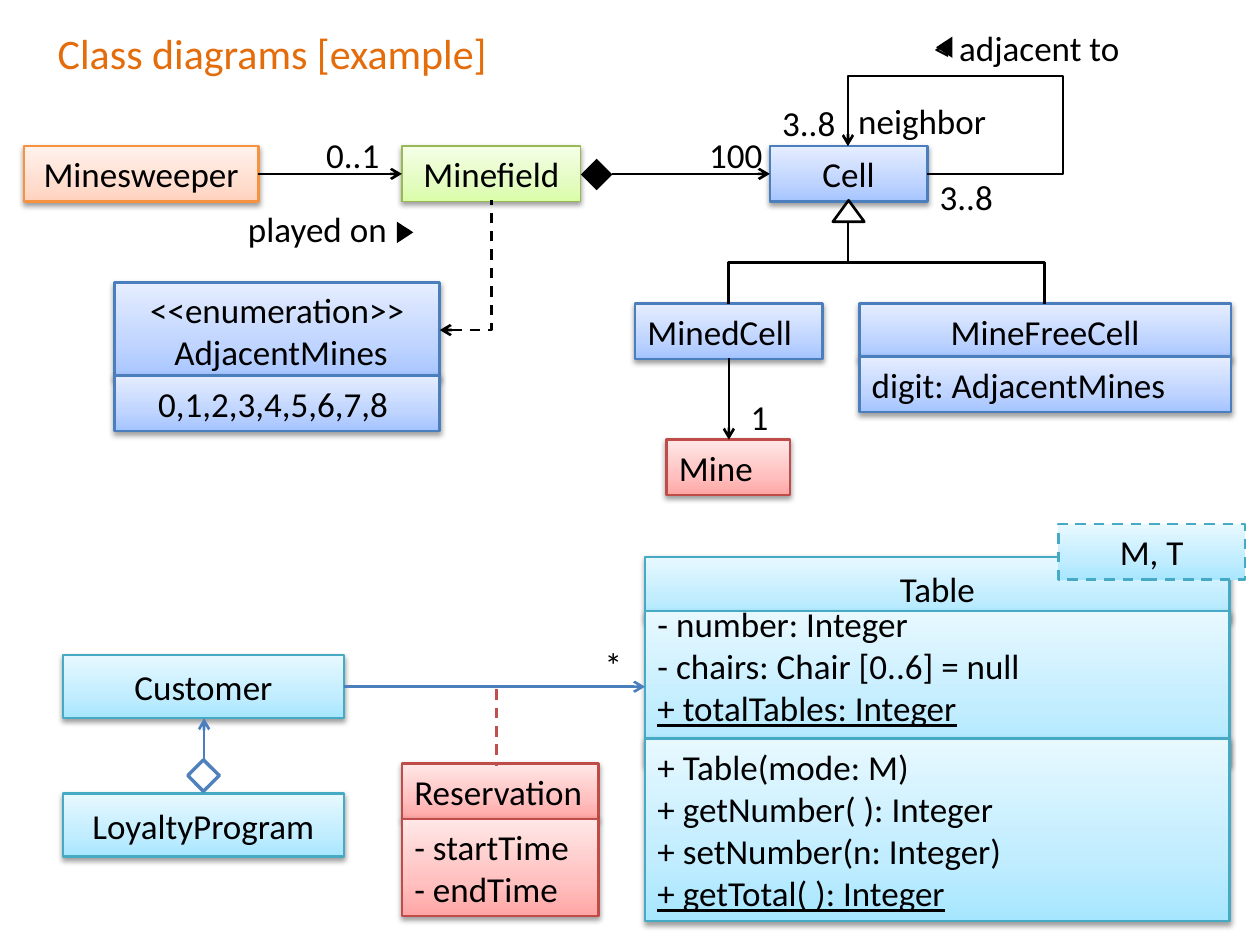
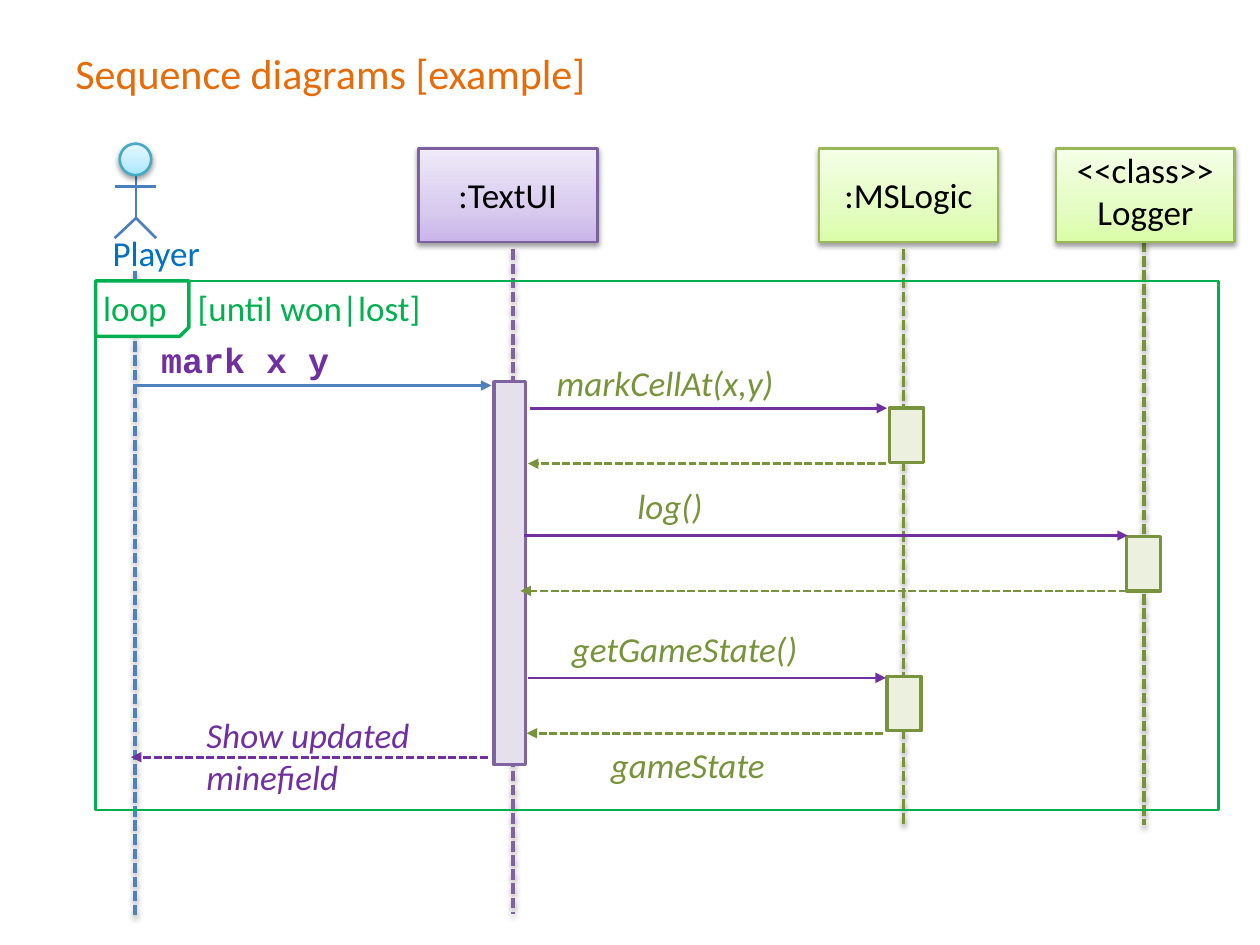
from copy import deepcopy

from lxml import etree
from pptx import Presentation
from pptx.dml.color import RGBColor
from pptx.enum.dml import MSO_LINE
from pptx.enum.shapes import MSO_CONNECTOR, MSO_SHAPE
from pptx.enum.text import MSO_ANCHOR, PP_ALIGN
from pptx.oxml.ns import qn
from pptx.util import Inches, Pt

RECT, OVAL = MSO_SHAPE.RECTANGLE, MSO_SHAPE.OVAL
TRI, GEM = MSO_SHAPE.ISOSCELES_TRIANGLE, MSO_SHAPE.FLOWCHART_DECISION
SNIP = MSO_SHAPE.SNIP_1_RECTANGLE
STRAIGHT, ELBOW = MSO_CONNECTOR.STRAIGHT, MSO_CONNECTOR.ELBOW
DASH, DOTS = MSO_LINE.DASH, MSO_LINE.SQUARE_DOT
LEFT, MID = PP_ALIGN.LEFT, PP_ALIGN.CENTER
TOP, CORE = MSO_ANCHOR.TOP, MSO_ANCHOR.MIDDLE

INK = {
    "title": "E46C0A", "black": "000000", "white": "FFFFFF", "blue": "4B7EBC",
    "sky": "4F81BD", "red": "C0504D", "plum": "8064A2", "purple": "7030A0",
    "olive": "77933C", "frame": "00B050", "actor": "0070C0",
    "lilac": "E6E0EC", "pale": "EBF1DE",
}
# Gradient stops from bottom to top, then the outline
TONES = {
    "orange": ("FFD2BD", "FFDED0", "FFF2ED", "F69240"),
    "green": ("DAFDA7", "E4FCC2", "F5FFE7", "98B955"),
    "blue": ("A4C4FF", "BFD4FF", "E6EEFF", "4B7EBC"),
    "red": ("FFA6A5", "FFC0BF", "FFE7E7", "BF4C48"),
    "aqua": ("A7E6FF", "C1EDFF", "E7F8FF", "46AAC5"),
    "violet": ("C9B5E8", "D8CBEE", "F0EAF9", "7D60A0"),
}
SHADE = ('<a:outerShdw xmlns:a="http://schemas.openxmlformats.org/drawingml/2006/main" '
         'blurRad="40000" dist="20000" dir="5400000" rotWithShape="0">'
         '<a:srgbClr val="000000"><a:alpha val="38000"/></a:srgbClr></a:outerShdw>')

deck = Presentation()
deck.slide_width, deck.slide_height = Inches(10), Inches(7.5)
COL, ROW = deck.slide_width / 100, deck.slide_height / 75  # 100 by 75 grid


def put(place, kind, at, text="", tone=None, fill=None, edge=None, width=1.5, dash=None,
        shade=True, ink="black", align=LEFT, anchor=CORE, inset=(1, 0.5, 1, 0.5), **font):
    """Add a shape, or a text box when kind is None, at grid cells."""
    x, y, w, h = (round(n * u) for n, u in zip(at, (COL, ROW, COL, ROW)))
    if kind is None:
        item = place.add_textbox(x, y, w, h)
    else:
        item = place.add_shape(kind, x, y, w, h)
        item.shadow.inherit = False
    if tone:
        *stops, rim = TONES[tone]
        item.fill.gradient()
        item.fill.gradient_angle = 90
        bag = item.element.find(".//" + qn("a:gsLst"))
        bag.insert(1, deepcopy(bag[0]))
        for stop, spot, hue in zip(item.fill.gradient_stops, (0, 0.35, 1), stops):
            stop.position = spot
            stop.color.rgb = RGBColor.from_string(hue)
        if shade:
            item.element.spPr.find(qn("a:effectLst")).append(etree.fromstring(SHADE))
    elif fill:
        item.fill.solid()
        item.fill.fore_color.rgb = RGBColor.from_string(INK[fill])
    else:
        item.fill.background()
    if tone or edge:
        item.line.color.rgb = RGBColor.from_string(rim if tone else INK[edge])
        item.line.width = Pt(width)
        if dash:
            item.line.dash_style = dash
    else:
        item.line.fill.background()
    if text:
        frame = item.text_frame
        frame.text = text
        frame.word_wrap = True
        frame.vertical_anchor = anchor
        for side, gap in zip(("left", "top", "right", "bottom"), inset):
            setattr(frame, "margin_" + side, round(gap * COL))
        looks = {"name": "Calibri", "size": Pt(20), **font}
        for para in frame.paragraphs:
            para.alignment = align
            for run in para.runs:
                run.font.color.rgb = RGBColor.from_string(INK[ink])
                for key, val in looks.items():
                    setattr(run.font, key, val)
    return item


def join(place, x1, y1, x2, y2, ink="black", width=1.5, dash=None, head=None, tail=None,
         shade=False, bend=None, turn=False, adj=()):
    """Link two grid points; turn makes a bent line leave vertically."""
    if turn:
        mx, my, dx, dy = (x1 + x2) / 2, (y1 + y2) / 2, (x1 - x2) / 2, (y1 - y2) / 2
        x1, y1, x2, y2 = mx + dy, my - dx, mx - dy, my + dx
    wire = place.add_connector(ELBOW if bend else STRAIGHT, round(x1 * COL), round(y1 * ROW),
                               round(x2 * COL), round(y2 * ROW))
    wire.line.color.rgb = RGBColor.from_string(INK[ink])
    wire.line.width = Pt(width)
    if dash:
        wire.line.dash_style = dash
    props = wire.element.spPr
    for tag, tip in (("a:headEnd", head), ("a:tailEnd", tail)):
        if tip:
            etree.SubElement(props.find(qn("a:ln")), qn(tag), type=tip)
    glow = etree.SubElement(props, qn("a:effectLst"))
    if shade:
        glow.append(etree.fromstring(SHADE))
    if turn:
        props.find(qn("a:xfrm")).set("rot", "5400000")
    if bend:
        geom = props.find(qn("a:prstGeom"))
        geom.set("prst", bend)
        for i, val in enumerate(adj, 1):
            etree.SubElement(geom.find(qn("a:avLst")), qn("a:gd"),
                             name=f"adj{i}", fmla=f"val {round(val * 100000)}")


# Class diagram
art = deck.slides.add_slide(deck.slide_layouts[6]).shapes
put(art, None, (3.6, 2.1, 39.7, 4.1), "Class diagrams [example]", ink="title", size=Pt(24))

for at, text, tone, align in (
    ((1.9, 11.6, 18.6, 4.4), "Minesweeper", "orange", MID),
    ((61.1, 11.6, 12.5, 4.4), "Cell", "blue", MID),
    ((50.4, 24.1, 14.9, 4.4), "MinedCell", "blue", LEFT),
    ((68.2, 24.1, 29.5, 4.4), "MineFreeCell", "blue", MID),
    ((68.2, 28.3, 29.5, 4.4), "digit: AdjacentMines", "blue", LEFT),
    ((52.9, 34.9, 9.8, 4.4), "Mine", "red", LEFT),
    ((9.1, 22.4, 25.8, 7.7), "<<enumeration>>\n AdjacentMines", "blue", MID),
    ((9.1, 29.8, 25.8, 4.4), "0,1,2,3,4,5,6,7,8 ", "blue", MID),
    ((51.2, 44.2, 46.4, 5), "Table", "aqua", MID),
    ((5, 52, 22.3, 5), "Customer", "aqua", MID),
    ((5, 63, 22.3, 5), "LoyaltyProgram", "aqua", MID),
    ((31.9, 60.6, 15.6, 4.4), "Reservation", "red", LEFT),
    ((31.9, 65, 15.6, 7.7), "- startTime\n- endTime", "red", LEFT),
):
    put(art, RECT, at, text, tone, align=align)
put(art, RECT, (31.9, 11.6, 14.2, 4.4), "Minefield", "green", align=MID, width=0.75)

for at, text, inset in (
    ((51.2, 48.5, 46.4, 12.1),
     "- number: Integer\n- chairs: Chair [0..6] = null\n+ totalTables: Integer", (1, 0, 1, 3.4)),
    ((51.2, 58.6, 46.4, 14.5),
     "+ Table(mode: M)\n+ getNumber( ): Integer\n+ setNumber(n: Integer)\n+ getTotal( ): Integer",
     (1, 0.5, 1, 0.5)),
):
    part = put(art, RECT, at, text, "aqua", inset=inset)
    part.text_frame.paragraphs[-1].runs[0].font.underline = True
put(art, RECT, (84, 41.6, 14.8, 4.4), "M, T", "aqua", align=MID, dash=DASH, shade=False)

for x, y, w, text in (
    (72.5, 1.6, 17.5, " < adjacent to"), (66.5, 7.4, 17.5, " neighbor"),
    (61.1, 7.6, 6.7, "3..8"), (73.6, 13.4, 6.7, "3..8"), (58.6, 30.9, 4.2, "1"),
    (55.3, 10.1, 7.5, "100"), (24.9, 10.1, 7, "0..1"),
    (18.7, 16, 17.3, "played on >"), (47, 50.6, 3.5, "*"),
):
    put(art, None, (x, y, w, 4.4), text, anchor=TOP)

for x, y, spin in ((31.3, 17.8, 90), (74.1, 3.1, 270)):
    put(art, TRI, (x, y, 1.7, 1.3), fill="black").rotation = spin
put(art, TRI, (66.1, 15.9, 2.5, 1.7), fill="white", edge="black")
put(art, GEM, (46.1, 12.6, 2.5, 2.5), fill="black")
put(art, GEM, (14.9, 60.3, 2.5, 2.5), fill="white", edge="sky", width=2)

for ends, ink in (
    ((20.5, 13.8, 31.9, 13.8), "black"), ((48.6, 13.8, 61.1, 13.8), "black"),
    ((57.85, 28.4, 57.85, 34.9), "black"),
    ((27.3, 54.5, 51.2, 54.5), "blue"), ((16.2, 60.3, 16.2, 57), "blue"),
):
    join(art, *ends, ink, tail="arrow")
join(art, 39.4, 54.7, 39.4, 60.8, "red", dash=DASH)
for x in (57.8, 82.9):
    join(art, x, 24.1, 67.3, 17.6, bend="bentConnector3", turn=True, adj=[0.5])
join(art, 67.3, 11.6, 73.6, 13.8, head="arrow", bend="bentConnector4", turn=True,
     adj=(-2.53, 2.71))
join(art, 34.9, 26.2, 39, 15.9, dash=DASH, head="arrow", bend="bentConnector2")

# Sequence diagram
art = deck.slides.add_slide(deck.slide_layouts[6]).shapes
put(art, None, (5, 3, 90, 5.5), "Sequence diagrams [example]", ink="title", size=Pt(24))

for x, top, end, ink in (
    (10.7, 21.5, 72.7, "sky"), (40.7, 19.8, 72.5, "plum"),
    (71.7, 19.8, 65.5, "olive"), (90.8, 19.2, 65.5, "olive"),
):
    join(art, x, top, x, end, ink, 2, DOTS, shade=True)

for x, text, tone, pad in (
    (33.2, ":TextUI", "violet", 2), (65, ":MSLogic", "green", 2),
    (83.8, "<<class>>\nLogger", "green", 0),
):
    put(art, RECT, (x, 11.8, 14.2, 7.4), text, tone, align=MID, anchor=TOP,
        inset=(pad / 2, pad, pad / 2, pad))

man = art.add_group_shape().shapes
for ends in ((10.8, 13.1, 10.8, 17.3), (9.1, 14.8, 12.4, 14.8),
             (10.8, 17.3, 9.1, 18.9), (10.8, 17.3, 12.4, 18.9)):
    join(man, *ends, "blue")
put(man, OVAL, (9.5, 11.4, 2.5, 2.5), tone="aqua")

put(art, RECT, (39.2, 30.3, 2.5, 30.4), fill="lilac", edge="plum", width=2)
for x, y in ((70.6, 32.4), (89.4, 42.6), (70.4, 53.7)):
    put(art, RECT, (x, y, 2.7, 4.3), fill="pale", edge="olive", width=2)

put(art, RECT, (7.6, 22.3, 89.1, 42), edge="frame")
tab = put(art, SNIP, (7.6, 22.3, 7.4, 4.4), fill="white", edge="frame", width=2)
tab.element.spPr.find(qn("a:xfrm")).set("flipV", "1")
for x, w, text in ((7.2, 7.6, "loop"), (14.7, 25.5, "[until won|lost]")):
    put(art, None, (x, 22.3, w, 4.2), text, ink="frame")
put(art, None, (6.5, 17.9, 11.8, 4.4), "Player", ink="actor", align=MID, anchor=TOP)

for x1, x2, y, ink, dash in (
    (10.7, 39, 30.6, "sky", None), (38.7, 10.4, 60.1, "purple", DOTS),
    (42.1, 70.4, 32.4, "purple", None), (70.3, 41.9, 36.8, "olive", DOTS),
    (41.6, 89.5, 42.5, "purple", None), (89.4, 41.3, 46.9, "olive", DOTS),
    (41.9, 70.3, 53.8, "purple", None), (70.1, 41.8, 58.2, "olive", DOTS),
):
    join(art, x1, y, x2, y, ink, dash=dash, tail="triangle")

put(art, None, (11.8, 26.4, 25.4, 4.4), "mark x y", ink="purple", anchor=TOP,
    name="Courier New", bold=True)
for at, text, ink in (
    ((15.4, 56.1, 23.4, 7.7), "Show updated minefield", "purple"),
    ((43.2, 28.2, 27.9, 4.4), "markCellAt(x,y)", "olive"),
    ((49.6, 38, 10.7, 4.4), "log()", "olive"),
    ((44.4, 49.3, 24.6, 4.4), "getGameState()", "olive"),
    ((47.5, 58.5, 18.7, 4.4), "gameState", "olive"),
):
    put(art, None, at, text, ink=ink, anchor=TOP, italic=True)

deck.save("out.pptx")
